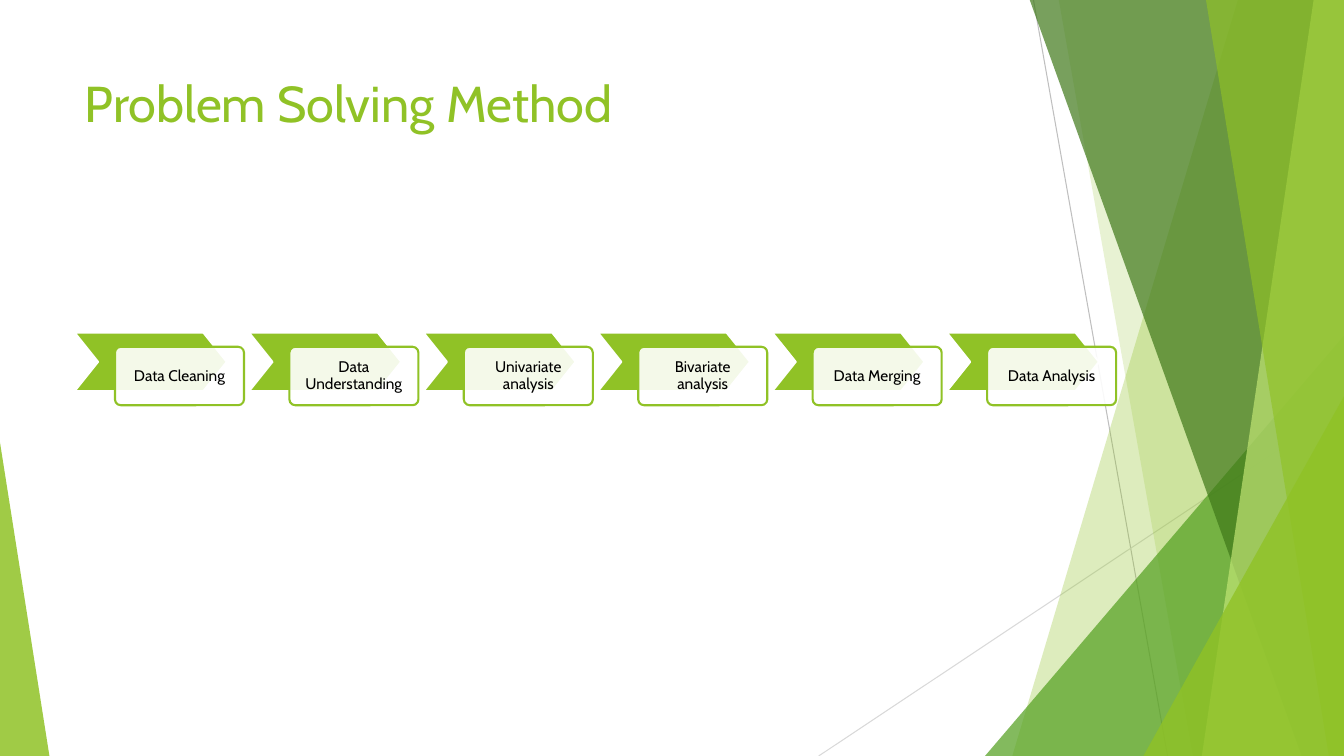
from lxml.etree import SubElement
from pptx import Presentation
from pptx.dml.color import RGBColor
from pptx.enum.shapes import MSO_CONNECTOR, MSO_SHAPE
from pptx.enum.text import MSO_ANCHOR, PP_ALIGN
from pptx.oxml.ns import qn
from pptx.util import Inches, Pt

FONT = "Cabin"
GREEN = "90C226"
WHITE = "FFFFFF"
SLIDE_WIDTH, SLIDE_HEIGHT = 13.33, 7.5

STEPS = ["Data Cleaning", "Data Understanding", "Univariate analysis",
         "Bivariate analysis", "Data Merging", "Data Analysis"]
STEP_LEFT, STEP_PITCH = 0.74, 1.73


def color(hex_value):
    return RGBColor.from_string(hex_value)


def style_shape(shape, fill, opacity=100, line=None, line_width=1.5):
    shape.shadow.inherit = False
    shape.fill.solid()
    shape.fill.fore_color.rgb = color(fill)
    if opacity < 100:
        fill_element = shape.fill._xPr.find(qn("a:solidFill"))
        SubElement(fill_element[0], qn("a:alpha"), val=str(opacity * 1000))
    if line:
        shape.line.color.rgb = color(line)
        shape.line.width = Pt(line_width)
    else:
        shape.line.fill.background()


def write_text(shape, text, size=11, text_color="000000", align=PP_ALIGN.LEFT,
               anchor=MSO_ANCHOR.TOP, margins=(0.1, 0.05), line_spacing=1.0):
    frame = shape.text_frame
    frame.word_wrap = True
    frame.vertical_anchor = anchor
    frame.margin_left = frame.margin_right = Inches(margins[0])
    frame.margin_top = frame.margin_bottom = Inches(margins[1])
    paragraph = frame.paragraphs[0]
    paragraph.alignment = align
    paragraph.line_spacing = line_spacing
    run = paragraph.add_run()
    run.text = text
    run.font.name = FONT
    run.font.size = Pt(size)
    run.font.color.rgb = color(text_color)


def add_preset(slide, preset, box, adjustment, **style):
    shape = slide.shapes.add_shape(preset, *map(Inches, box))
    shape.adjustments[0] = adjustment
    style_shape(shape, **style)
    return shape


def add_thin_line(slide, start, end, line_color):
    connector = slide.shapes.add_connector(
        MSO_CONNECTOR.STRAIGHT, *map(Inches, start + end))
    connector.line.color.rgb = color(line_color)
    connector.line.width = Pt(0.75)
    SubElement(connector._element.spPr, qn("a:effectLst"))


def add_shard(slide, top_x, bottom_x, fill, opacity):
    """Four-sided panel from a slanted left edge to the slide's right edge."""
    top = Inches(-0.01)
    right, bottom = Inches(SLIDE_WIDTH), Inches(SLIDE_HEIGHT)
    builder = slide.shapes.build_freeform(Inches(top_x), top)
    builder.add_line_segments(
        [(right, top), (right, bottom), (Inches(bottom_x), bottom)], close=True)
    style_shape(builder.convert_to_shape(), fill, opacity)


def add_corner_triangle(slide, left, top, width, apex, fill, opacity):
    """Triangle standing on the slide's bottom edge."""
    add_preset(slide, MSO_SHAPE.ISOSCELES_TRIANGLE,
               (left, top, width, SLIDE_HEIGHT - top), apex,
               fill=fill, opacity=opacity)


def add_backdrop(slide):
    add_thin_line(slide, (10.25, 0), (11.58, 7.5), "BFBFBF")
    add_thin_line(slide, (13.33, 4.03), (8.12, 7.5), "D9D9D9")
    add_shard(slide, 12.28, 10.04, GREEN, 30)
    add_shard(slide, 10.5, 11.83, GREEN, 20)
    add_corner_triangle(slide, 9.77, 3.33, 3.56, 1, "54A021", 72)
    add_shard(slide, 10.21, 12.91, "3F7819", 70)
    add_shard(slide, 13.03, 11.92, "C0E474", 70)
    add_shard(slide, 11.96, 13.18, GREEN, 65)
    add_corner_triangle(slide, 11.34, 3.93, 1.99, 1, GREEN, 80)
    add_corner_triangle(slide, 0, 4.39, 0.49, 0, GREEN, 85)


def add_title(slide, text):
    title = slide.shapes.title
    title.left, title.top = Inches(0.74), Inches(0.67)
    title.width, title.height = Inches(9.4), Inches(1.44)
    write_text(title, text, size=36, text_color=GREEN)


def add_step(slide, left, label):
    """Chevron with a labelled card overlapping its lower right."""
    add_preset(slide, MSO_SHAPE.CHEVRON, (left, 3.3, 1.51, 0.58), 0.4,
               fill=GREEN, line=WHITE)
    card = add_preset(slide, MSO_SHAPE.ROUNDED_RECTANGLE,
                      (left + 0.4, 3.44, 1.28, 0.58), 0.1,
                      fill=WHITE, opacity=90, line=GREEN)
    write_text(card, label, align=PP_ALIGN.CENTER, anchor=MSO_ANCHOR.MIDDLE,
               margins=(0.09, 0.09), line_spacing=0.9)


def main():
    presentation = Presentation()
    presentation.slide_width = Inches(SLIDE_WIDTH)
    presentation.slide_height = Inches(SLIDE_HEIGHT)
    slide = presentation.slides.add_slide(presentation.slide_layouts[5])
    add_backdrop(slide)
    add_title(slide, "Problem Solving Method")
    for index, label in enumerate(STEPS):
        add_step(slide, STEP_LEFT + index * STEP_PITCH, label)
    presentation.save("out.pptx")


if __name__ == "__main__":
    main()
